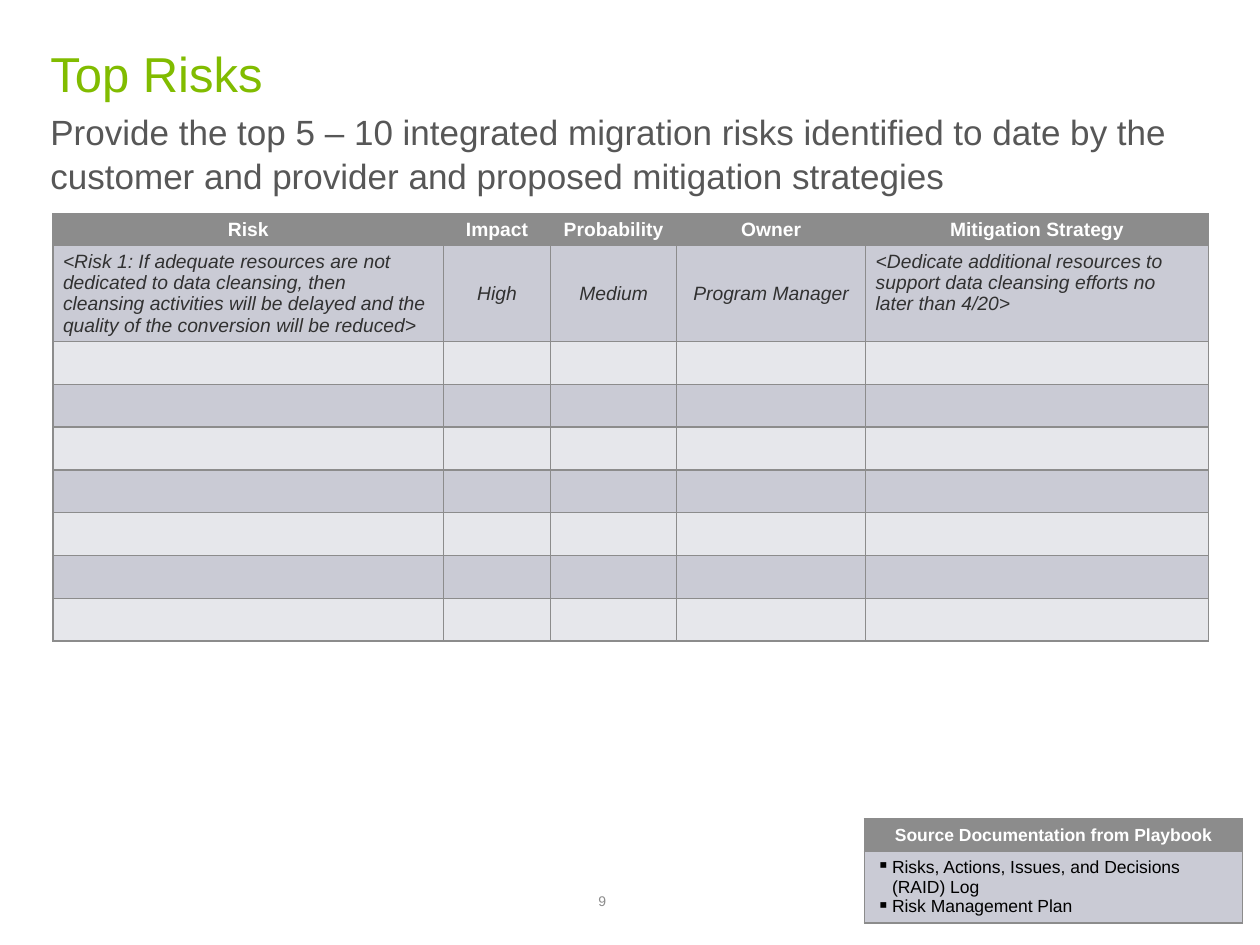
from dataclasses import dataclass

from lxml.etree import SubElement
from pptx import Presentation
from pptx.dml.color import RGBColor as Rgb
from pptx.enum.text import MSO_ANCHOR as Anchor, MSO_AUTO_SIZE as Fit, PP_ALIGN as Align
from pptx.oxml import parse_xml
from pptx.oxml.ns import nsdecls, qn
from pptx.util import Emu, Inches, Pt


@dataclass(frozen=True)
class Theme:
    face: str = "Arial"
    green: str = "81BC00"
    text: str = "575757"
    dark: str = "313131"
    black: str = "000000"
    white: str = "FFFFFF"
    gray: str = "8C8C8C"
    bands: tuple = ("CACBD5", "E6E7EB")
    title: int = 28
    lead: int = 20
    body: int = 11
    note: int = 10
    page: int = 8


T = Theme()
HEADS = ["Risk", "Impact", "Probability", "Owner", "Mitigation Strategy"]
RISK = [
    "<Risk 1: If adequate resources are not dedicated to data cleansing, then cleansing "
    "activities will be delayed and the quality of the conversion will be reduced>",
    "High", "Medium", "Program Manager",
    "<Dedicate additional resources to support data cleansing efforts no later than 4/20>",
]
LEAD = ("Provide the top 5 – 10 integrated migration risks identified to date by the "
        "customer and provider and proposed mitigation strategies")
SOURCES = ["Risks, Actions, Issues, and Decisions (RAID) Log", "Risk Management Plan"]
BLANKS = 7


def grid(*units):
    """Lengths on a grid of 100 columns by 75 rows."""
    return [Inches(unit / 10) for unit in units]


def style(para, size, color, bold=False, italic=False, align=Align.LEFT):
    font = para.font
    font.name, font.size = T.face, Pt(size)
    font.bold, font.italic = bold, italic
    font.color.rgb = Rgb.from_string(color)
    para.alignment = align


def fill_text(shape, text, size, color, anchor=Anchor.TOP):
    frame = shape.text_frame
    frame.text = text
    frame.word_wrap, frame.auto_size = True, Fit.NONE
    frame.vertical_anchor = anchor
    frame.margin_left = frame.margin_right = frame.margin_top = frame.margin_bottom = 0
    style(frame.paragraphs[0], size, color)
    return frame.paragraphs[0]


def add_title(slide, box, text):
    title = slide.shapes.title
    title.left, title.top, title.width, title.height = grid(*box)
    fill_text(title, text, T.title, T.green, Anchor.MIDDLE)


def add_text(slide, box, *args):
    return fill_text(slide.shapes.add_textbox(*grid(*box)), *args)


def edge(cell):
    props = cell._tc.get_or_add_tcPr()
    for spot, side in enumerate(("lnL", "lnR", "lnT", "lnB")):
        props.insert(spot, parse_xml(
            f'<a:{side} {nsdecls("a")} w="{Pt(1)}"><a:solidFill>'
            f'<a:srgbClr val="{T.gray}"/></a:solidFill></a:{side}>'))


def bullet(para, mark, gap):
    props = para._p.get_or_add_pPr()
    props.set("marL", str(gap))
    props.set("indent", str(-gap))
    tint = parse_xml(f'<a:buClr {nsdecls("a")}><a:srgbClr val="{T.black}"/></a:buClr>')
    props.insert(0, tint)
    sign = SubElement(props, qn("a:buChar"))
    sign.set("char", mark)
    tint.addnext(sign)


def add_table(slide, spot, cols, rows):
    """Add an empty table with its header and band fills and its borders."""
    box = grid(*spot, sum(cols), sum(rows))
    table = slide.shapes.add_table(len(rows), len(cols), *box).table
    table.first_row = table.horz_banding = False
    for col, width in zip(table.columns, grid(*cols)):
        col.width = width
    for num, (row, height) in enumerate(zip(table.rows, grid(*rows))):
        row.height = height
        for cell in row.cells:
            cell.fill.solid()
            shade = T.bands[(num - 1) % 2] if num else T.gray
            cell.fill.fore_color.rgb = Rgb.from_string(shade)
            edge(cell)
    return table


def pad(cell, side, end):
    cell.margin_left = cell.margin_right = Inches(side)
    cell.margin_top = cell.margin_bottom = Inches(end)


def write(cell, text, *args, **kinds):
    cell.text = text
    for para in cell.text_frame.paragraphs:
        style(para, *args, **kinds)


def add_risks(slide):
    table = add_table(slide, (4.2, 17), (31, 8.5, 10, 15, 27.2),
                      (2.5, 7.5, *[3.4] * BLANKS))
    for num, row in enumerate(table.rows):
        for cell in row.cells:
            pad(cell, 0.08, 0.04 if num < 2 else 0)
    for col, (head, text) in enumerate(zip(HEADS, RISK)):
        write(table.cell(0, col), head, T.body, T.white, bold=True, align=Align.CENTER)
        # Only the long texts at both ends start at top left
        cell, mid = table.cell(1, col), 0 < col < len(HEADS) - 1
        write(cell, text, T.body, T.dark, italic=True,
              align=Align.CENTER if mid else Align.LEFT)
        cell.vertical_anchor = Anchor.MIDDLE if mid else Anchor.TOP


def add_source(slide):
    table = add_table(slide, (68.6, 65), (30,), (2.6, 5.6))
    head, body = table.cell(0, 0), table.cell(1, 0)
    for cell in (head, body):
        pad(cell, 0.1, 0.05)
    write(head, "Source Documentation from Playbook", T.note, T.white,
          bold=True, align=Align.CENTER)
    write(body, "\n".join(SOURCES), T.note, T.black)
    for para in body.text_frame.paragraphs:
        bullet(para, "▪", Emu(Inches(0.12)))


def main():
    deck = Presentation()
    deck.slide_width, deck.slide_height = grid(100, 75)
    slide = deck.slides.add_slide(deck.slide_layouts[5])

    # Heading and lead text
    add_title(slide, (4, 3.2, 92, 5.1), "Top Risks")
    lead = add_text(slide, (4, 8.6, 92, 8.3), LEAD, T.lead, T.text)
    lead.line_spacing = 1.05

    # Tables and page number
    add_risks(slide)
    add_source(slide)
    add_text(slide, (47.5, 70.9, 5, 1.3), "9", T.page, T.gray, Anchor.BOTTOM)
    deck.save("out.pptx")


if __name__ == "__main__":
    main()
